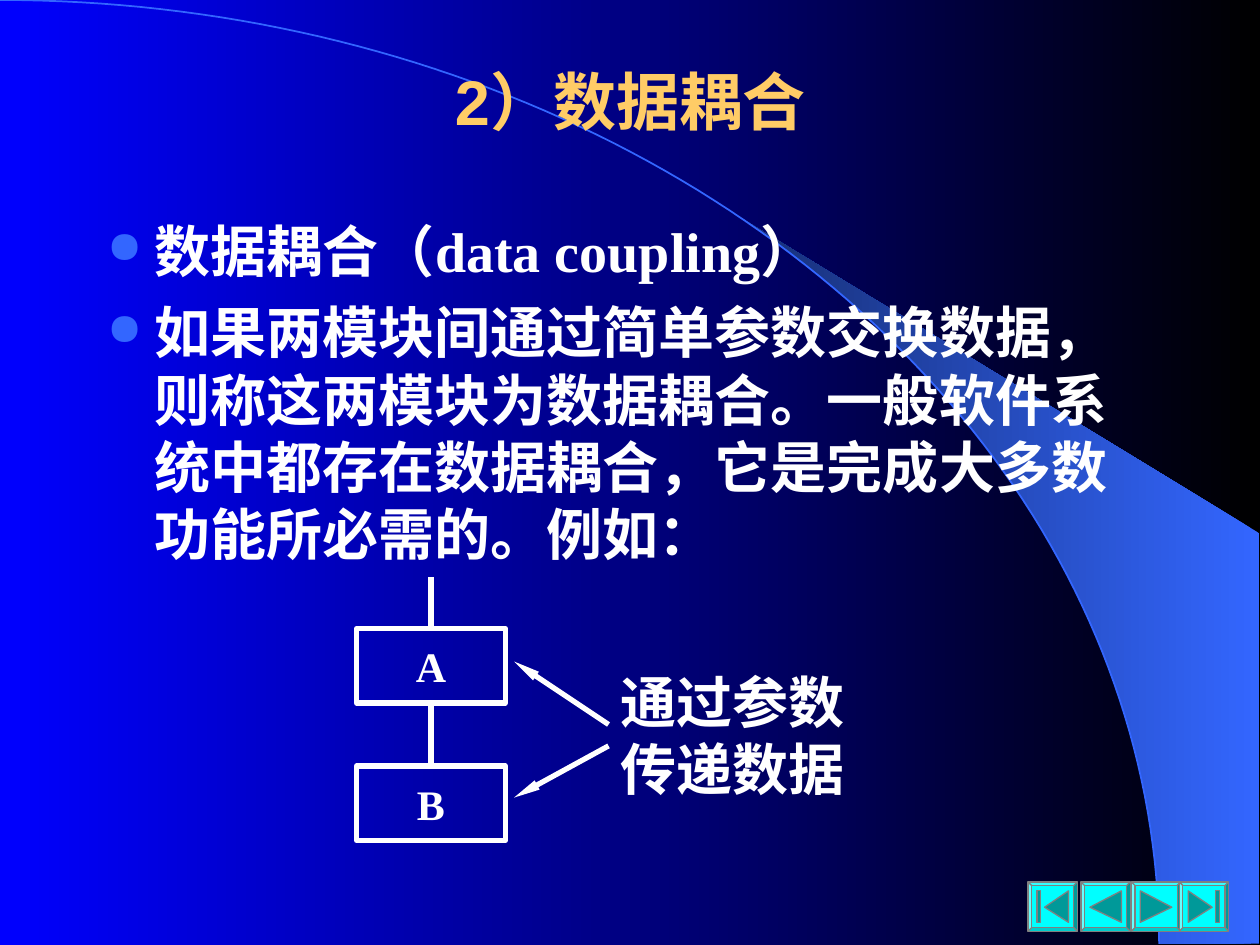
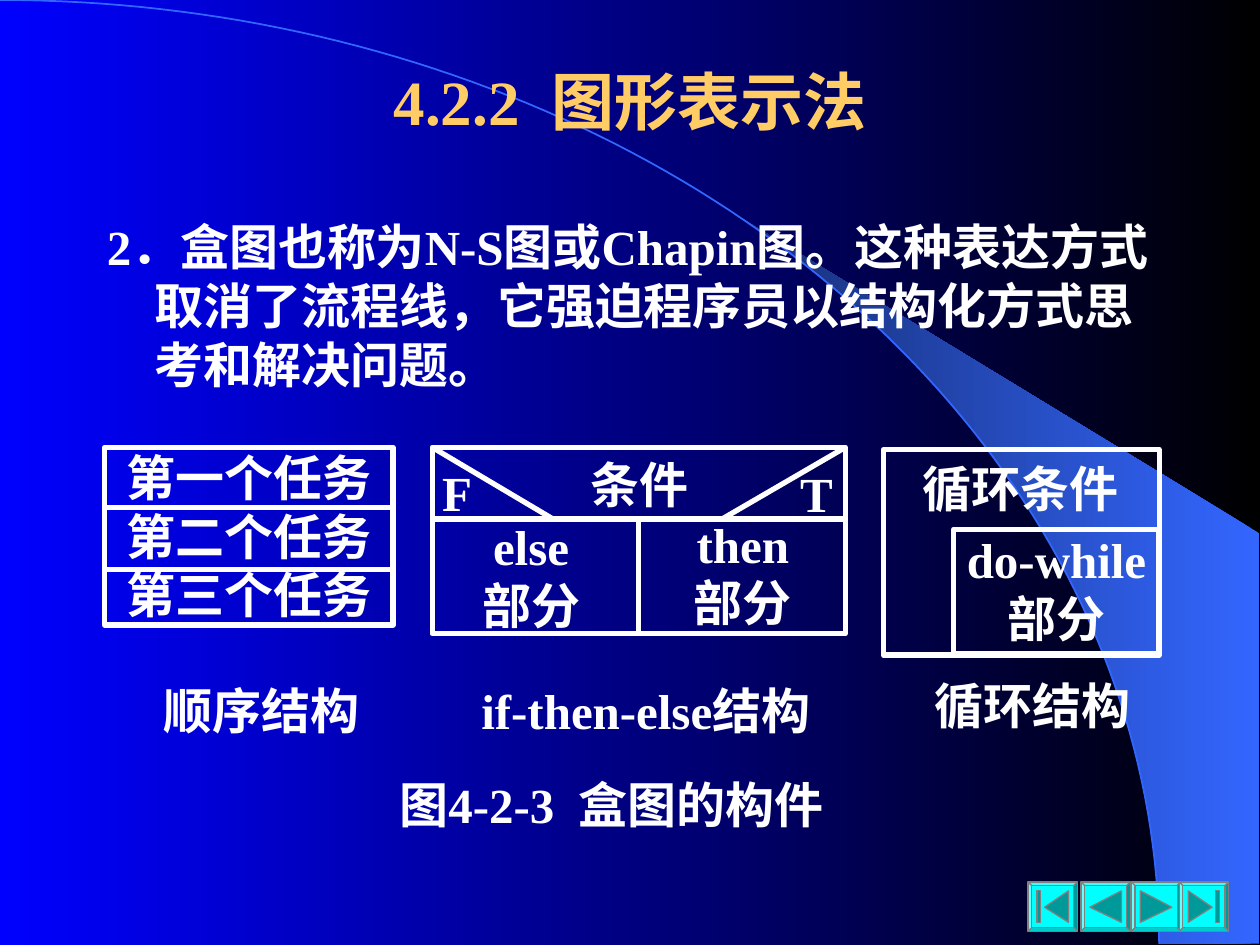
"""Build two slides on data coupling and box diagrams."""
from dataclasses import dataclass
from math import asin, cos, pi, sin
from typing import Any, Optional

from lxml.etree import SubElement
from pptx import Presentation
from pptx.dml.color import RGBColor
from pptx.enum.shapes import MSO_CONNECTOR as Connector, MSO_SHAPE as Preset
from pptx.enum.text import MSO_ANCHOR as Anchor, MSO_AUTO_SIZE as AutoSize, PP_ALIGN as Align
from pptx.oxml.ns import qn
from pptx.util import Inches, Pt

WHITE, GOLD, BLUE, CYAN, TEAL, GREY = "FFFFFF", "FFCC66", "3366FF", "00FFFF", "009999", "808080"
SERIF, SANS = "Times New Roman", "Arial"
ARC_WIDTH, ARC_HEIGHT = 9.2, 7.49
BUTTON_TOP, BUTTON_SIZE = 7.0, 0.39
Point = tuple[float, float]


@dataclass(frozen=True)
class Style:
    size: float = 28
    align: Align = Align.CENTER
    anchor: Anchor = Anchor.TOP
    margins: Point = (0, 0)
    font: str = SERIF
    colour: str = WHITE
    space_before: float = 0
    hanging: bool = False
    bullet: bool = False


@dataclass(frozen=True)
class Label:
    text: str
    left: float
    top: float
    width: float
    height: float
    style: Style = Style()


@dataclass(frozen=True)
class Button:
    left: float
    triangle: tuple[Point, ...]
    bar_left: Optional[float] = None


CAPTION = Style(align=Align.JUSTIFY)
MODULE = Style(24, anchor=Anchor.MIDDLE)
NOTE = Style(32, Align.LEFT, margins=(0.1, 0.05))
BULLETS = Style(32, Align.LEFT, margins=(0.1, 0.05), space_before=8, hanging=True, bullet=True)
NUMBERED = Style(28, Align.LEFT, margins=(0.1, 0.05), hanging=True)

BUTTONS = (
    Button(8.16, ((0.13, 0.2), (0.32, 0.07), (0.32, 0.32)), 0.07),
    Button(8.58, ((0.07, 0.2), (0.32, 0.07), (0.32, 0.32))),
    Button(8.98, ((0.07, 0.07), (0.32, 0.2), (0.07, 0.32))),
    Button(9.36, ((0.26, 0.2), (0.07, 0.32), (0.07, 0.07)), 0.29),
)

BOX_LABELS = (
    Label("else\n部分", 3.61, 4.1, 1.21, 0.89),
    Label("then\n部分", 5.29, 4.08, 1.21, 0.88),
    Label("条件", 4.47, 3.61, 1.21, 0.46),
    Label("F", 3.51, 3.67, 0.7, 0.46, CAPTION),
    Label("T", 6.35, 3.68, 0.7, 0.47, CAPTION),
    Label("循环条件", 7.32, 3.64, 1.8, 0.47, CAPTION),
    Label("顺序结构", 1.3, 5.4, 1.81, 0.46, CAPTION),
    Label("if-then-else结构", 3.82, 5.4, 2.78, 0.51, CAPTION),
    Label("循环结构", 7.42, 5.36, 1.8, 0.47, CAPTION),
    Label("图4-2-3  盒图的构件", 3.17, 6.15, 3.59, 0.35, CAPTION),
)


def rgb(colour: str) -> RGBColor:
    """Turn a hex string into a colour."""
    return RGBColor.from_string(colour)


def paint_gradient(fill: Any, right: str, left: str) -> None:
    """Fill with a gradient that runs from right to left."""
    fill.gradient()
    fill.gradient_angle = 180
    for stop, colour in zip(fill.gradient_stops, (right, left)):
        stop.color.rgb = rgb(colour)


def paint(shape: Any, fill: Optional[str], line: Optional[str], width: float = 3) -> None:
    """Set the fill and outline of a shape and drop its shadow."""
    shape.shadow.inherit = False
    if fill:
        shape.fill.solid()
        shape.fill.fore_color.rgb = rgb(fill)
    else:
        shape.fill.background()
    if line:
        shape.line.color.rgb = rgb(line)
        shape.line.width = Pt(width)
    else:
        shape.line.fill.background()


def write(shape: Any, text: str, style: Style) -> None:
    """Write text into a shape and format it."""
    frame = shape.text_frame
    frame.word_wrap = True
    frame.auto_size = AutoSize.NONE
    frame.vertical_anchor = style.anchor
    frame.margin_left = frame.margin_right = Inches(style.margins[0])
    frame.margin_top = frame.margin_bottom = Inches(style.margins[1])
    frame.text = text
    for index, para in enumerate(frame.paragraphs):
        para.alignment = style.align
        if style.hanging:
            indent(para, style.bullet)
        para.space_before = Pt(style.space_before if index else 0)
        for span in para.runs:
            span.font.name = style.font
            span.font.size = Pt(style.size)
            span.font.bold = True
            span.font.color.rgb = rgb(style.colour)


def indent(para: Any, bullet: bool) -> None:
    """Give a paragraph a hanging indent and, if asked, a round bullet."""
    properties = para._p.get_or_add_pPr()
    properties.set("marL", str(Inches(0.38)))
    properties.set("indent", str(-Inches(0.38)))
    if bullet:
        SubElement(SubElement(properties, qn("a:buClr")), qn("a:srgbClr"), val=BLUE)
        SubElement(properties, qn("a:buSzPct"), val="80000")
        SubElement(properties, qn("a:buChar"), char="●")


def add_label(page: Any, label: Label) -> None:
    """Add a text box."""
    box = page.shapes.add_textbox(*map(Inches, (label.left, label.top, label.width, label.height)))
    write(box, label.text, label.style)


def add_box(page: Any, left: float, top: float, width: float, height: float,
            text: str = "", style: Style = Style()) -> Any:
    """Add a white-framed rectangle, with text if there is any."""
    box = page.shapes.add_shape(Preset.RECTANGLE, *map(Inches, (left, top, width, height)))
    paint(box, None, WHITE)
    if text:
        write(box, text, style)
    return box


def add_line(page: Any, start: Point, end: Point, arrow: bool = False) -> Any:
    """Add a white line, with an arrowhead at its start if asked."""
    line = page.shapes.add_connector(Connector.STRAIGHT, *map(Inches, (*start, *end)))
    line.line.color.rgb = rgb(WHITE)
    line.line.width = Pt(3)
    if arrow:
        SubElement(line.line._get_or_add_ln(), qn("a:headEnd"), type="triangle", w="sm", len="lg")
    SubElement(line._element.spPr, qn("a:effectLst"))
    return line


def add_outline(page: Any, points: list[Point], close: bool = True) -> Any:
    """Add a freeform through points given in inches."""
    corners = [(Inches(x), Inches(y)) for x, y in points]
    builder = page.shapes.build_freeform(*corners[0])
    builder.add_line_segments(corners[1:], close=close)
    return builder.convert_to_shape()


def arc_points(start: float, steps: int) -> list[Point]:
    """Return points on the quarter ellipse from an angle to its right end."""
    angles = [start + (pi / 2 - start) * step / steps for step in range(steps + 1)]
    return [(ARC_WIDTH * sin(angle), ARC_HEIGHT * (1 - cos(angle))) for angle in angles]


def decorate_master(deck: Any, page: Any) -> None:
    """Put the background, the swoosh and the arc on the slide master."""
    master = deck.slide_master
    paint_gradient(master.background.fill, "000000", "0000FF")
    swoosh = add_outline(page, arc_points(asin(0.64), 40) + [(9.99, ARC_HEIGHT), (9.99, 4.23)])
    paint(swoosh, None, None)
    paint_gradient(swoosh.fill, BLUE, "172F75")
    arc = add_outline(page, arc_points(0, 90), close=False)
    paint(arc, None, BLUE, 1)
    for number, shape in enumerate((swoosh, arc), 20):
        shape._element.nvSpPr.cNvPr.id = number
        master.shapes._spTree.append(shape._element)


def add_title(page: Any, text: str, font: str) -> None:
    """Place and format the title."""
    title = page.shapes.title
    title.left, title.top, title.width, title.height = map(Inches, (0.75, 0.17, 8.5, 1.25))
    write(title, text, Style(36, anchor=Anchor.MIDDLE, margins=(0.1, 0.05), font=font, colour=GOLD))


def add_buttons(page: Any) -> None:
    """Add the row of navigation buttons."""
    for button in BUTTONS:
        key = page.shapes.add_shape(Preset.BEVEL, Inches(button.left), Inches(BUTTON_TOP),
                                    Inches(BUTTON_SIZE), Inches(BUTTON_SIZE))
        key.adjustments[0] = 0.07
        paint(key, CYAN, GREY, 0.75)
        glyphs = [button.triangle]
        if button.bar_left is not None:
            near, far = button.bar_left, button.bar_left + 0.03
            glyphs.append(((near, 0.07), (far, 0.07), (far, 0.32), (near, 0.32)))
        for glyph in glyphs:
            points = [(button.left + x, BUTTON_TOP + y) for x, y in glyph]
            paint(add_outline(page, points), TEAL, GREY, 0.75)


def build_coupling(page: Any) -> None:
    """Fill the slide on data coupling."""
    add_title(page, "2）数据耦合", SANS)
    add_label(page, Label(
        "数据耦合（data coupling）\n"
        "如果两模块间通过简单参数交换数据，则称这两模块为数据耦合。"
        "一般软件系统中都存在数据耦合，它是完成大多数功能所必需的。例如：",
        0.75, 1.67, 8.5, 2.92, BULLETS))
    caller, callee = (add_box(page, 2.83, top, 1.18, 0.59, name, MODULE)
                      for name, top in (("A", 4.99), ("B", 6.08)))
    call = add_line(page, (3.42, 5.58), (3.42, 6.08))
    call.begin_connect(caller, 2)
    call.end_connect(callee, 0)
    entry = add_line(page, (3.42, 4.58), (3.42, 4.99))
    entry.end_connect(caller, 0)
    add_label(page, Label("通过参数\n传递数据", 4.83, 5.25, 2.25, 1.17, NOTE))
    add_line(page, (4.08, 5.25), (4.83, 5.75), arrow=True)
    add_line(page, (4.08, 6.33), (4.83, 5.92), arrow=True)


def build_box_diagrams(page: Any) -> None:
    """Fill the slide on box diagrams."""
    add_title(page, "4.2.2  图形表示法", SERIF)
    add_label(page, Label(
        "2．盒图也称为N-S图或Chapin图。这种表达方式取消了流程线，"
        "它强迫程序员以结构化方式思考和解决问题。",
        0.75, 1.67, 8.5, 1.67, NUMBERED))
    add_box(page, 0.83, 3.55, 2.29, 1.41, "第一个任务\n第二个任务\n第三个任务")
    for divider in (4.03, 4.52):
        add_line(page, (0.83, divider), (3.12, divider))
    choice = add_box(page, 3.43, 3.55, 3.28, 1.48)
    add_line(page, (3.43, 4.12), (6.71, 4.12))
    add_line(page, (3.43, 3.55), (4.39, 4.12))
    add_line(page, (5.73, 4.12), (6.71, 3.55))
    branch = add_line(page, (5.07, 4.12), (5.07, 5.03))
    branch.end_connect(choice, 2)
    add_box(page, 7.01, 3.57, 2.19, 1.63)
    add_box(page, 7.57, 4.2, 1.63, 0.99, "do-while\n部分")
    for label in BOX_LABELS:
        add_label(page, label)


def main() -> None:
    """Build and save the deck."""
    deck = Presentation()
    deck.slide_width, deck.slide_height = Inches(10), Inches(7.5)
    title_only = deck.slide_layouts[5]
    for index, build in enumerate((build_coupling, build_box_diagrams)):
        page = deck.slides.add_slide(title_only)
        if index == 0:
            decorate_master(deck, page)
        build(page)
        add_buttons(page)
    deck.save("out.pptx")


if __name__ == "__main__":
    main()
